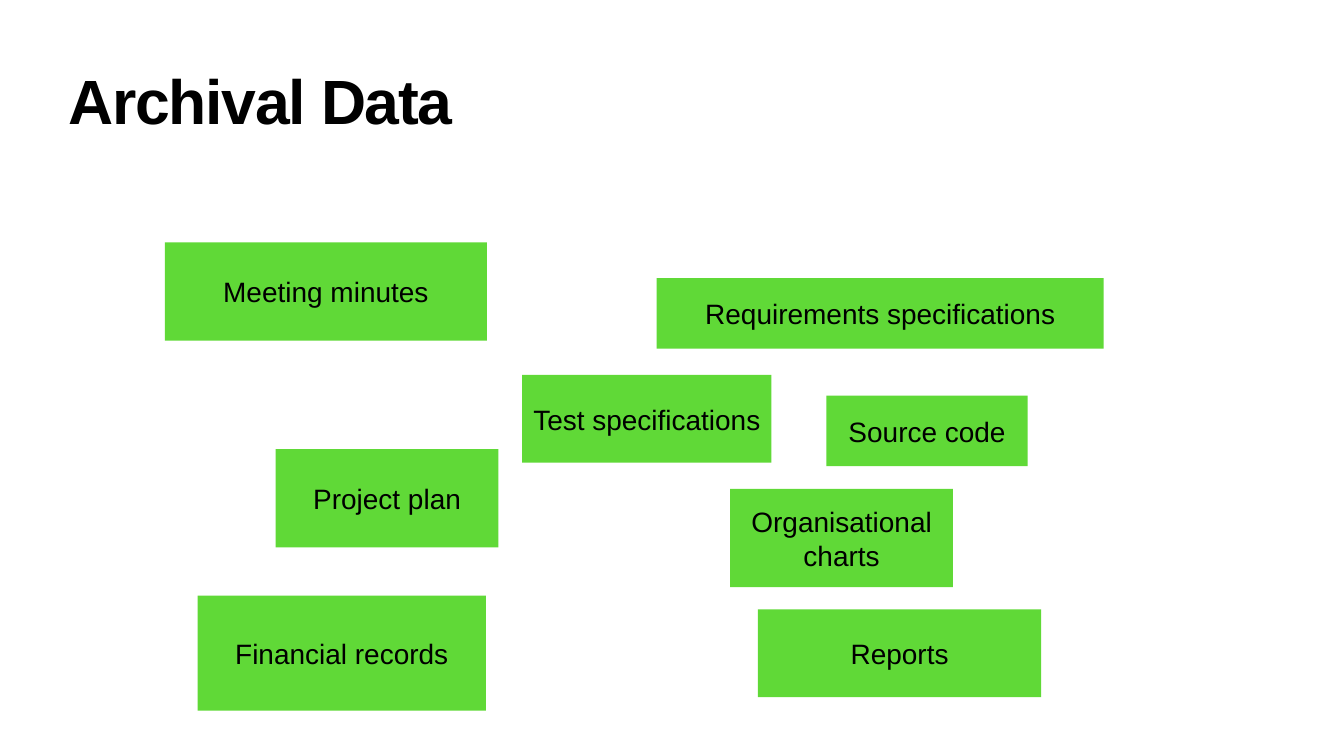
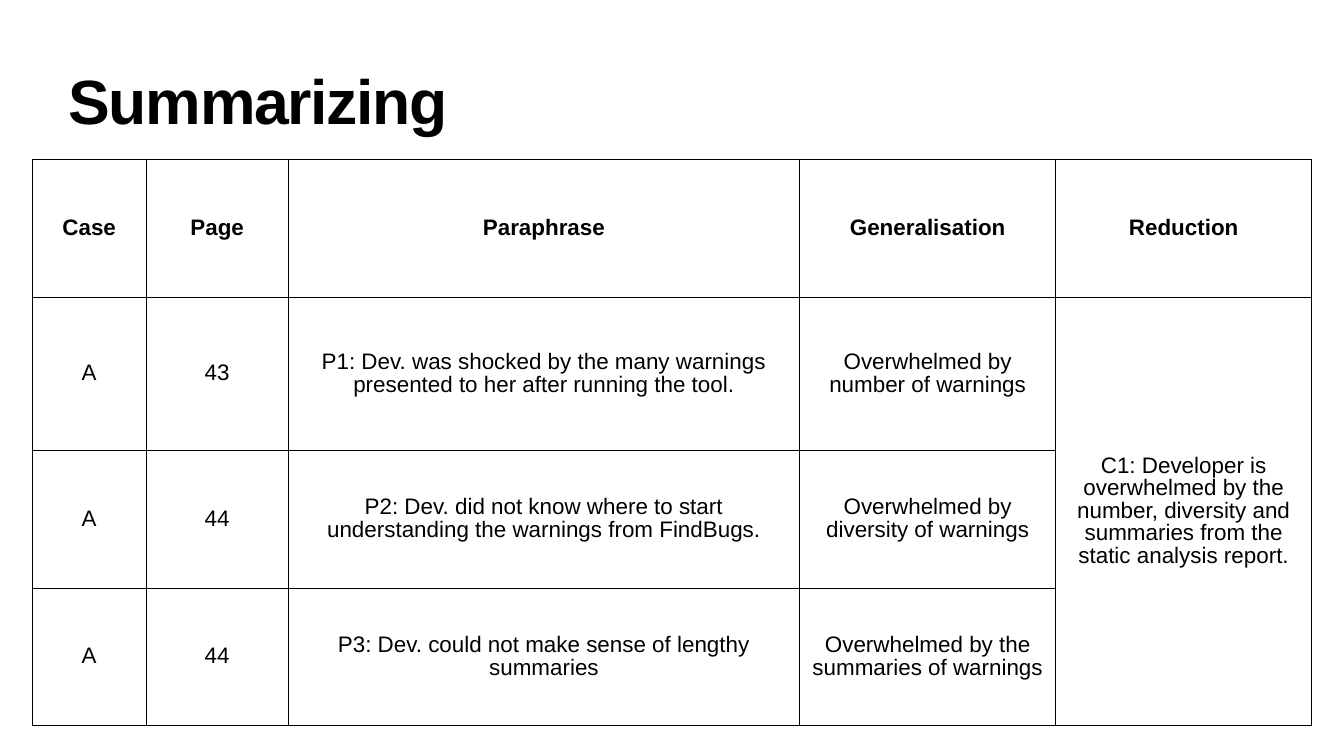
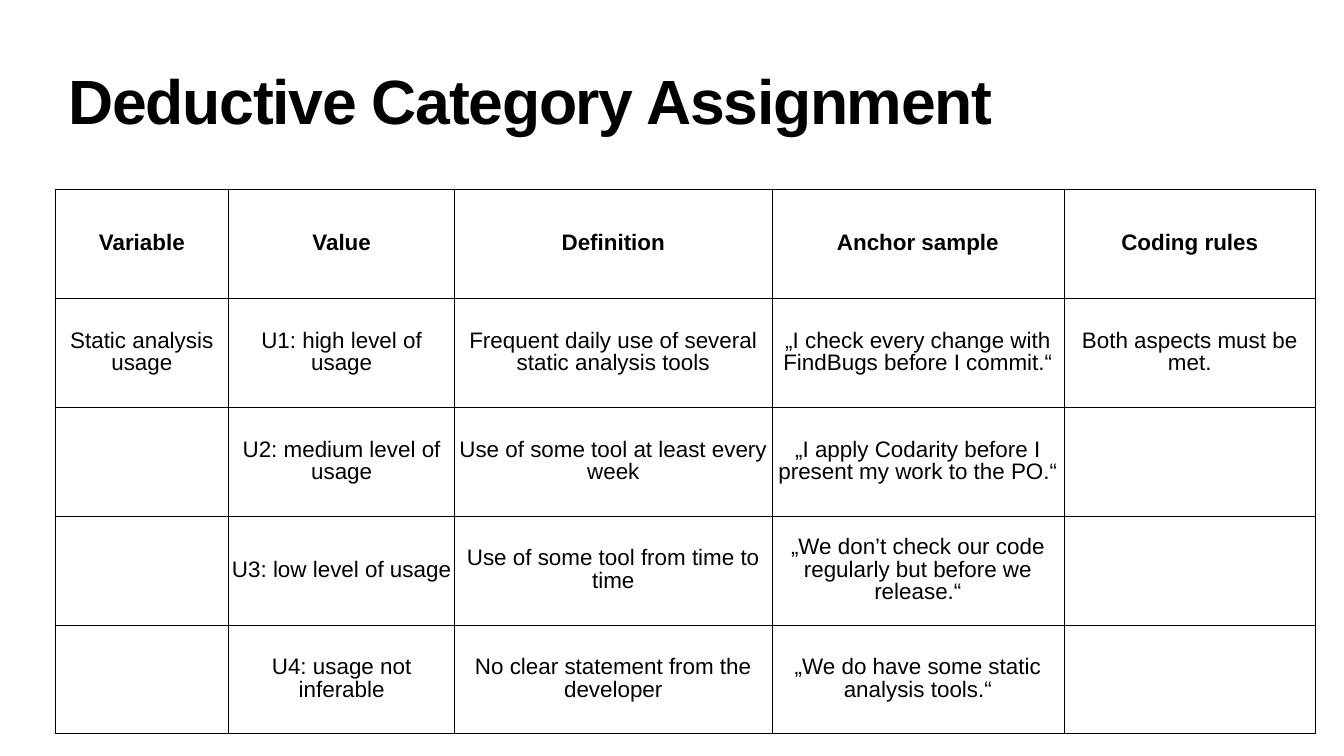
from lxml.etree import SubElement
from pptx import Presentation
from pptx.dml.color import RGBColor
from pptx.enum.shapes import MSO_SHAPE as SHAPE
from pptx.enum.text import MSO_ANCHOR as ANCHOR, PP_ALIGN as ALIGN
from pptx.oxml import parse_xml
from pptx.oxml.ns import nsdecls, qn
from pptx.util import Inches, Pt

FONT = "Arial"
COLORS = {"text": "000000", "box": "60D937", "border": "000000"}

SOURCES_TITLE = "Archival Data"
SOURCES = [
    ("Requirements specifications", 13.03, 5.52, 8.87, 1.4),
    ("Meeting minutes", 3.27, 4.81, 6.39, 1.95),
    ("Source code", 16.4, 7.85, 3.99, 1.4),
    ("Test specifications", 10.36, 7.44, 4.95, 1.74),
    ("Project plan", 5.47, 8.91, 4.42, 1.95),
    ("Organisational charts", 14.49, 9.7, 4.42, 1.95),
    ("Financial records", 3.92, 11.82, 5.72, 2.28),
    ("Reports", 15.04, 12.09, 5.62, 1.74),
]

TABLES = [
    {
        "title": "Summarizing",
        "at": (0.64, 3.17),
        "cols": [2.26, 2.82, 10.15, 5.08, 5.08],
        "heights": [2.73, 3.04, 2.73, 2.73],
        "merge": ((1, 4), (3, 4)),
        "rows": [
            ["Case", "Page", "Paraphrase", "Generalisation", "Reduction"],
            ["A", "43",
             "P1: Dev. was shocked by the many warnings presented to her after running the tool.",
             "Overwhelmed by number of warnings",
             "C1: Developer is overwhelmed by the number, diversity and summaries "
             "from the static analysis report."],
            ["A", "44",
             "P2: Dev. did not know where to start understanding the warnings from FindBugs.",
             "Overwhelmed by diversity of warnings", ""],
            ["A", "44", "P3: Dev. could not make sense of lengthy summaries",
             "Overwhelmed by the summaries of warnings", ""],
        ],
    },
    {
        "title": "Deductive Category Assignment",
        "at": (1.09, 3.76),
        "cols": [3.45, 4.48, 6.3, 5.79, 5],
        "heights": [2.16] * 5,
        "merge": None,
        "rows": [
            ["Variable", "Value", "Definition", "Anchor sample", "Coding rules"],
            ["Static analysis usage", "U1: high level of usage",
             "Frequent daily use of several static analysis tools",
             "„I check every change with FindBugs before I commit.“",
             "Both aspects must be met."],
            ["", "U2: medium level of usage", "Use of some tool at least every week",
             "„I apply Codarity before I present my work to the PO.“", ""],
            ["", "U3: low level of usage", "Use of some tool from time to time",
             "„We don’t check our code regularly but before we release.“", ""],
            ["", "U4: usage not inferable", "No clear statement from the developer",
             "„We do have some static analysis tools.“", ""],
        ],
    },
]


def rgb(name):
    return RGBColor.from_string(COLORS[name])


def set_margins(target, inches):
    for side in ("left", "top", "right", "bottom"):
        setattr(target, f"margin_{side}", Inches(inches))


def write(tf, text, size, align, bold=False, spacing=None):
    p = tf.paragraphs[0]
    p.alignment = align
    p.line_spacing = spacing
    r = p.add_run()
    r.text = text
    r.font.name = FONT
    r.font.size = Pt(size)
    r.font.bold = bold
    r.font.color.rgb = rgb("text")
    return r


def add_slide(prs, title):
    s = prs.slides.add_slide(prs.slide_layouts[6])
    tf = s.shapes.add_textbox(*map(Inches, (1.32, 1.18, 24.03, 1.57))).text_frame
    tf.word_wrap = True
    tf.vertical_anchor = ANCHOR.BOTTOM
    set_margins(tf, 0.04)
    r = write(tf, title, 89.3, ALIGN.LEFT, bold=True, spacing=0.8)
    r.font._element.set("spc", "-180")
    return s


def add_box(s, text, *place):
    sp = s.shapes.add_shape(SHAPE.RECTANGLE, *map(Inches, place))
    sp.shadow.inherit = False
    sp.fill.solid()
    sp.fill.fore_color.rgb = rgb("box")
    sp.line.fill.background()
    tf = sp.text_frame
    tf.word_wrap = True
    tf.vertical_anchor = ANCHOR.MIDDLE
    set_margins(tf, 0.05)
    write(tf, text, 40, ALIGN.CENTER)


def add_borders(cell):
    tc_pr = cell._tc.get_or_add_tcPr()
    for i, side in enumerate("LRTB"):
        ln = parse_xml(f'<a:ln{side} {nsdecls("a")} w="{Pt(1)}"/>')
        fill = SubElement(ln, qn("a:solidFill"))
        SubElement(fill, qn("a:srgbClr")).set("val", COLORS["border"])
        tc_pr.insert(i, ln)


def add_grid(s, data):
    rows, cols, heights = data["rows"], data["cols"], data["heights"]
    place = (*data["at"], sum(cols), sum(heights))
    table = s.shapes.add_table(len(rows), len(cols), *map(Inches, place)).table
    table.first_row = table.horz_banding = False
    for col, width in zip(table.columns, cols):
        col.width = Inches(width)
    for i, (row, height, texts) in enumerate(zip(table.rows, heights, rows)):
        row.height = Inches(height)
        for cell, text in zip(row.cells, texts):
            cell.fill.background()
            cell.vertical_anchor = ANCHOR.MIDDLE
            set_margins(cell, 0.06)
            add_borders(cell)
            if text:
                write(cell.text_frame, text, 32, ALIGN.CENTER, bold=i == 0, spacing=0.9)
    if data["merge"]:
        first, last = data["merge"]
        table.cell(*first).merge(table.cell(*last))


def main():
    prs = Presentation()
    prs.slide_width, prs.slide_height = Inches(26.67), Inches(15)
    s = add_slide(prs, SOURCES_TITLE)
    for source in SOURCES:
        add_box(s, *source)
    for data in TABLES:
        add_grid(add_slide(prs, data["title"]), data)
    prs.save("out.pptx")


if __name__ == "__main__":
    main()
